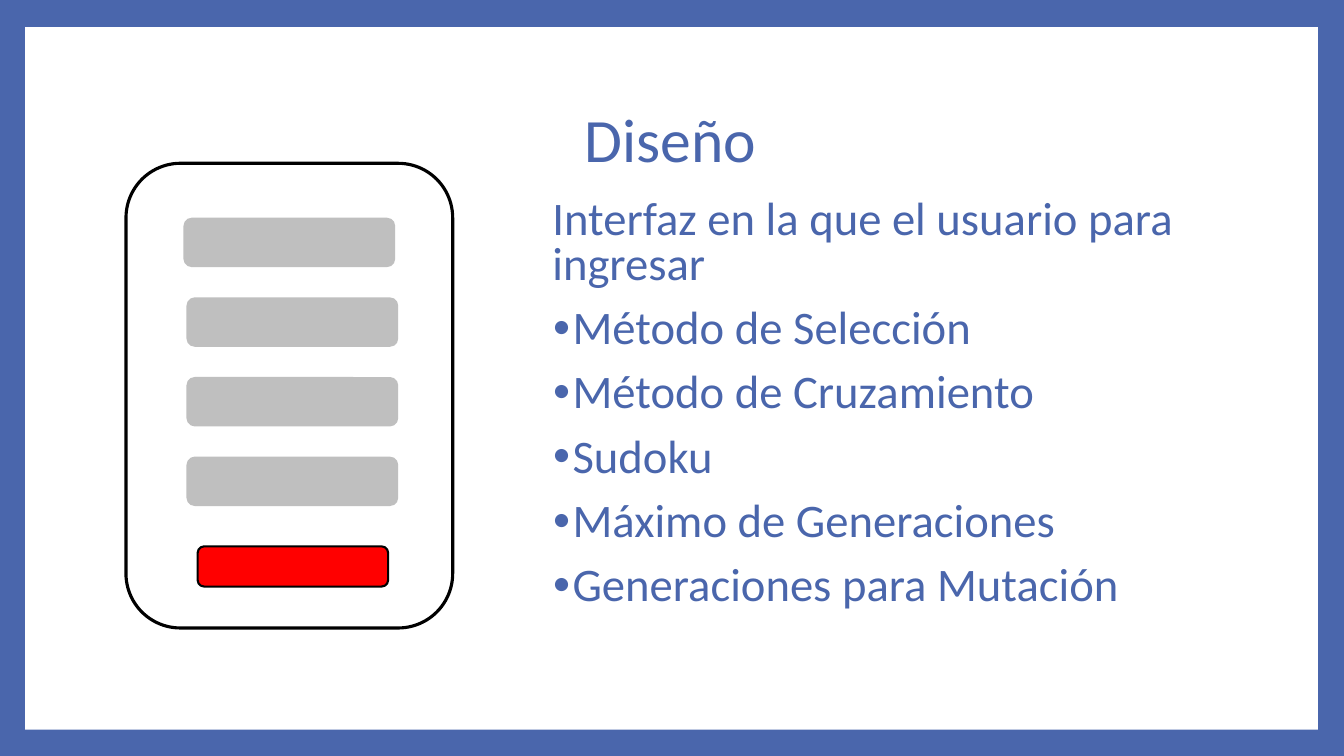
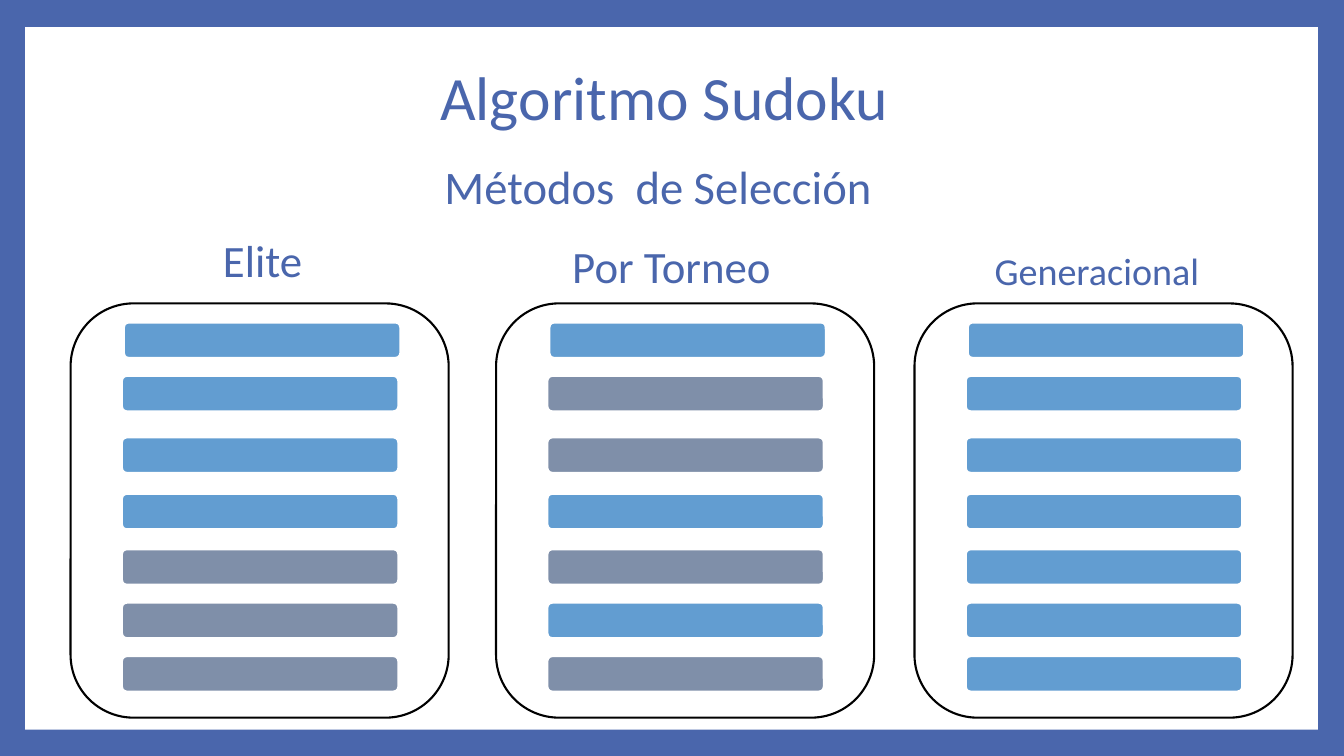
from dataclasses import dataclass
from typing import NamedTuple, Optional, Union

from lxml.etree import SubElement
from pptx import Presentation
from pptx.dml.color import RGBColor
from pptx.enum.shapes import MSO_SHAPE as Shape
from pptx.enum.text import MSO_ANCHOR as Anchor, PP_ALIGN as Align
from pptx.oxml.ns import qn
from pptx.shapes.autoshape import Shape as AutoShape
from pptx.shapes.shapetree import GroupShapes, SlideShapes
from pptx.slide import Slide
from pptx.util import Inches, Pt

Shapes = Union[SlideShapes, GroupShapes]


# Theme
@dataclass(frozen=True)
class Theme:
    font: str = "Calibri"
    main: str = "4A66AC"
    paper: str = "FFFFFF"
    outline: str = "000000"
    field: str = "BFBFBF"
    button: str = "FF0000"
    chosen: str = "629DD1"
    rejected: str = "7F8FA9"
    title_size: float = 44
    body_size: float = 33.3
    label_size: float = 32
    small_size: float = 27.2


THEME = Theme()


class Box(NamedTuple):
    left: float
    top: float
    width: float
    height: float


class Style(NamedTuple):
    fill: str
    line: Optional[str] = None
    weight: float = 0


class TextStyle(NamedTuple):
    size: float
    align: Align = Align.LEFT
    spacing: float = 0.9
    before: float = 14
    indent: float = 0.05
    anchor: Anchor = Anchor.TOP


class Method(NamedTuple):
    name: str
    label: Box
    size: float
    spacing: float
    left: float
    chosen: tuple[int, ...]


# Shared styles
PANEL = Style(THEME.paper, THEME.outline, 1.5)
TITLE = TextStyle(THEME.title_size, Align.CENTER, before=0, indent=0, anchor=Anchor.MIDDLE)
BODY = TextStyle(THEME.body_size, spacing=0.8)
SUBTITLE = TextStyle(THEME.body_size)

# Slide contents
INPUTS = ("Método de Selección", "Método de Cruzamiento", "Sudoku",
          "Máximo de Generaciones", "Generaciones para Mutación")
BAR_TOPS = (3.18, 3.71, 4.32, 4.88, 5.43, 5.96, 6.49)
METHODS = (
    Method("Elite", Box(1.64, 2.32, 1.88, 0.79), THEME.label_size, 0.9, 0.7, (0, 1, 2, 3)),
    Method("Por Torneo", Box(5.52, 2.38, 2.23, 0.79), THEME.label_size, 0.9, 4.92, (0, 3, 5)),
    Method("Generacional", Box(9.63, 2.49, 2.45, 0.79), THEME.small_size, 0.8, 9.07,
           tuple(range(len(BAR_TOPS)))),
)


# Drawing helpers
def add_block(shapes: Shapes, box: Box, style: Style, kind: Shape = Shape.ROUNDED_RECTANGLE) -> AutoShape:
    sp = shapes.add_shape(kind, *map(Inches, box))
    sp.shadow.inherit = False
    sp.fill.solid()
    sp.fill.fore_color.rgb = RGBColor.from_string(style.fill)
    if style.line:
        sp.line.color.rgb = RGBColor.from_string(style.line)
        sp.line.width = Pt(style.weight)
    else:
        sp.line.fill.background()
    return sp


def add_bullet(p) -> None:
    pPr = p._p.get_or_add_pPr()
    pPr.set("marL", str(Inches(0.25)))
    pPr.set("indent", str(Inches(-0.2)))
    color = SubElement(pPr, qn("a:buClr"))
    SubElement(color, qn("a:srgbClr"), val=THEME.main)
    SubElement(pPr, qn("a:buSzPct"), val="80000")
    SubElement(pPr, qn("a:buFont"), typeface=THEME.font)
    SubElement(pPr, qn("a:buChar"), char="•")


def add_text(slide: Slide, box: Box, style: TextStyle, text: str, bullets: tuple[str, ...] = ()) -> None:
    tf = slide.shapes.add_textbox(*map(Inches, box)).text_frame
    tf.word_wrap = True
    tf.vertical_anchor = style.anchor
    for i, line in enumerate((text, *bullets)):
        p = tf.add_paragraph() if i else tf.paragraphs[0]
        p.alignment = style.align
        p.line_spacing = style.spacing
        p.space_before = Pt(style.before)
        if i:
            add_bullet(p)
        else:
            p._p.get_or_add_pPr().set("marL", str(Inches(style.indent)))
        r = p.add_run()
        r.text = line
        r.font.name = THEME.font
        r.font.size = Pt(style.size)
        r.font.color.rgb = RGBColor.from_string(THEME.main)


def add_framed_slide(prs: Presentation, title: str, title_box: Box) -> Slide:
    slide = prs.slides.add_slide(prs.slide_layouts[6])
    fill = slide.background.fill
    fill.solid()
    fill.fore_color.rgb = RGBColor.from_string(THEME.main)
    add_block(slide.shapes, Box(0.25, 0.27, 12.82, 6.97), Style(THEME.paper), Shape.RECTANGLE)
    add_text(slide, title_box, TITLE, title)
    return slide


# Slide 1: input form and its fields
def add_form(slide: Slide) -> None:
    shapes = slide.shapes.add_group_shape().shapes
    add_block(shapes, Box(1.25, 1.62, 3.24, 4.61), PANEL._replace(weight=2.25))
    add_block(shapes, Box(1.96, 5.42, 1.89, 0.4), Style(THEME.button, THEME.outline, 1.5))
    for i in range(4):
        left = 1.85 if i else 1.82
        add_block(shapes, Box(left, 2.16 + 0.79 * i, 2.1, 0.49), Style(THEME.field))


def build_design(prs: Presentation) -> None:
    slide = add_framed_slide(prs, "Diseño", Box(1.25, 0.67, 10.8, 1.48))
    add_form(slide)
    add_text(slide, Box(5.33, 1.93, 6.41, 4.93), BODY,
             "Interfaz en la que el usuario para ingresar", INPUTS)


# Slide 2: one panel of bars per selection method
def add_method(slide: Slide, method: Method) -> None:
    style = TextStyle(method.size, Align.CENTER, method.spacing)
    add_text(slide, method.label, style, method.name)
    add_block(slide.shapes, Box(method.left, 3.01, 3.75, 4.11), PANEL)
    for i, top in enumerate(BAR_TOPS):
        left = method.left + (0.49 if i else 0.51)
        color = THEME.chosen if i in method.chosen else THEME.rejected
        add_block(slide.shapes, Box(left, top, 2.78, 0.39), Style(color, THEME.paper, 4.25))


def build_selection(prs: Presentation) -> None:
    slide = add_framed_slide(prs, "Algoritmo Sudoku", Box(1.19, 0.52, 10.8, 0.95))
    add_text(slide, Box(4.26, 1.58, 4.67, 1.09), SUBTITLE, "Métodos  de Selección")
    for method in METHODS:
        add_method(slide, method)


def main() -> None:
    prs = Presentation()
    prs.slide_width, prs.slide_height = Inches(13.33), Inches(7.5)
    build_design(prs)
    build_selection(prs)
    prs.save("out.pptx")


if __name__ == "__main__":
    main()
